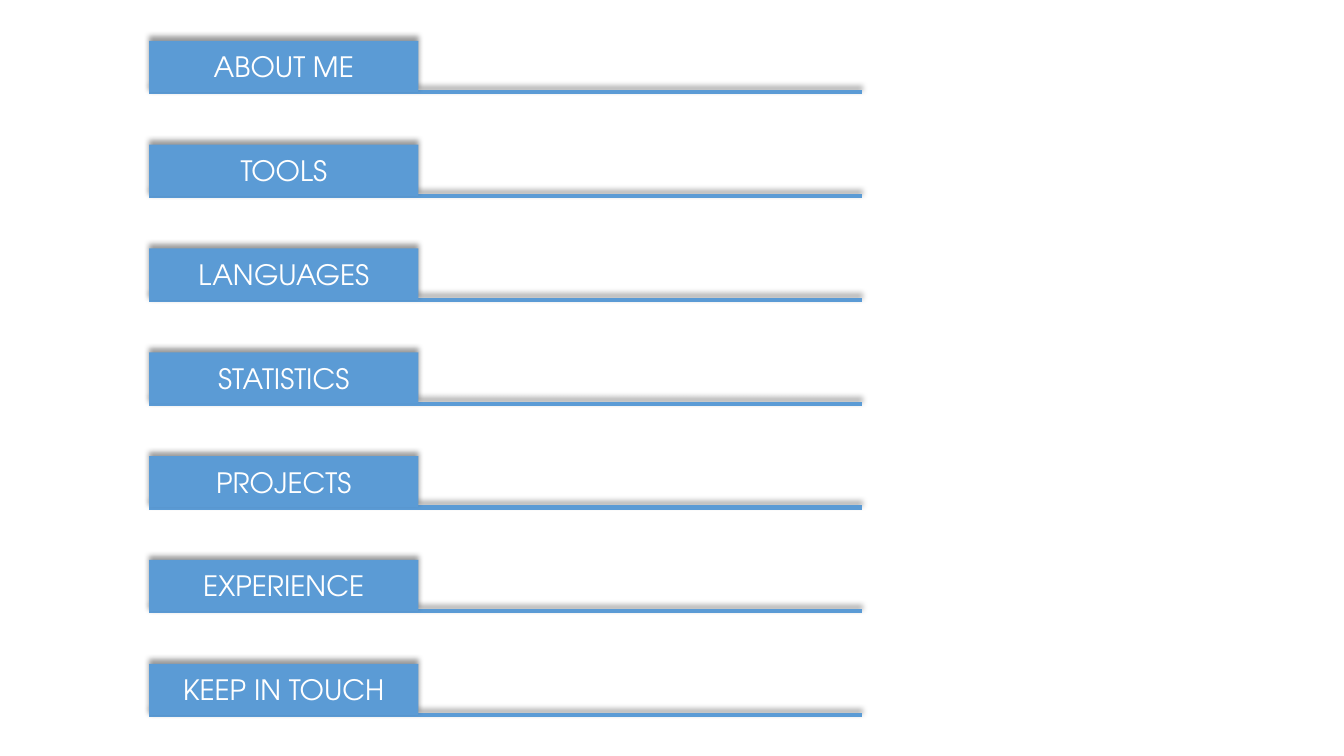
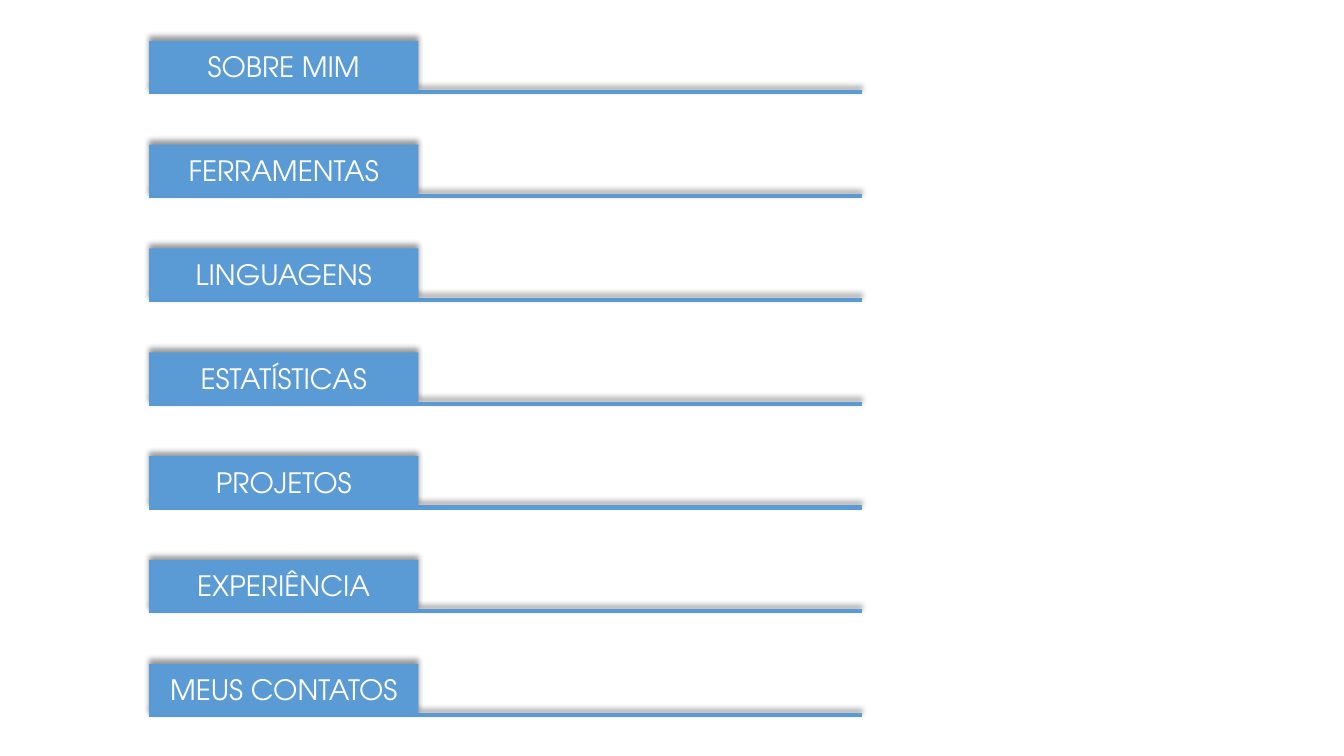
"""Build two slides of section headings, in English and in Portuguese."""
from lxml.etree import SubElement
from pptx import Presentation
from pptx.dml.color import RGBColor
from pptx.enum.shapes import MSO_CONNECTOR, MSO_SHAPE
from pptx.enum.text import MSO_ANCHOR, PP_ALIGN
from pptx.oxml.ns import qn
from pptx.util import Inches, Pt

SLIDES = [
    ["ABOUT ME", "TOOLS", "LANGUAGES", "STATISTICS",
     "PROJECTS", "EXPERIENCE", "KEEP IN TOUCH"],
    ["SOBRE MIM", "FERRAMENTAS", "LINGUAGENS", "ESTATÍSTICAS",
     "PROJETOS", "EXPERIÊNCIA", "MEUS CONTATOS"],
]

BLUE = RGBColor(0x5B, 0x9B, 0xD5)
WHITE = RGBColor(0xFF, 0xFF, 0xFF)
BLACK = RGBColor(0x00, 0x00, 0x00)
FONT = "TeX Gyre Adventor"

LEFT, TOP = Inches(1.48), Inches(0.405)
TAB_W, TAB_H = Inches(2.67), Inches(0.51)
RULE_W, ROW_H = Inches(7.07), Inches(1.03)


def add_shadow(shape):
    """Cast a soft shadow upwards; call after fill and line are set."""
    sp_pr = shape._element.spPr
    effects = sp_pr.find(qn("a:effectLst"))
    if effects is None:
        effects = SubElement(sp_pr, qn("a:effectLst"))
    shadow = SubElement(effects, qn("a:outerShdw"), blurRad=str(Pt(4)),
                        dist=str(Pt(3)), dir="16200000", algn="b",
                        rotWithShape="0")
    color = SubElement(shadow, qn("a:srgbClr"), val=str(BLACK))
    SubElement(color, qn("a:alpha"), val="40000")


def add_rule(s, y):
    """Draw the line under a heading."""
    rule = s.shapes.add_connector(MSO_CONNECTOR.STRAIGHT,
                                  LEFT, y, LEFT + RULE_W, y)
    rule.line.color.rgb = BLUE
    rule.line.width = Pt(3)
    add_shadow(rule)


def add_tab(s, y, text):
    """Draw the filled heading tab with its text."""
    sp = s.shapes.add_shape(MSO_SHAPE.RECTANGLE, LEFT, y, TAB_W, TAB_H)
    sp.fill.solid()
    sp.fill.fore_color.rgb = BLUE
    sp.line.fill.background()
    sp.shadow.inherit = False
    add_shadow(sp)
    tf = sp.text_frame
    tf.word_wrap = True
    tf.vertical_anchor = MSO_ANCHOR.MIDDLE
    p = tf.paragraphs[0]
    p.alignment = PP_ALIGN.CENTER
    r = p.add_run()
    r.text = text
    r.font.name = FONT
    r.font.size = Pt(20)
    r.font.color.rgb = WHITE


def main():
    """Create the presentation and save it."""
    prs = Presentation()
    prs.slide_width, prs.slide_height = Inches(13.33), Inches(7.5)
    for headings in SLIDES:
        s = prs.slides.add_slide(prs.slide_layouts[6])
        for row, text in enumerate(headings):
            y = TOP + row * ROW_H
            add_rule(s, y + TAB_H)
            add_tab(s, y, text)
    prs.save("out.pptx")


if __name__ == "__main__":
    main()
